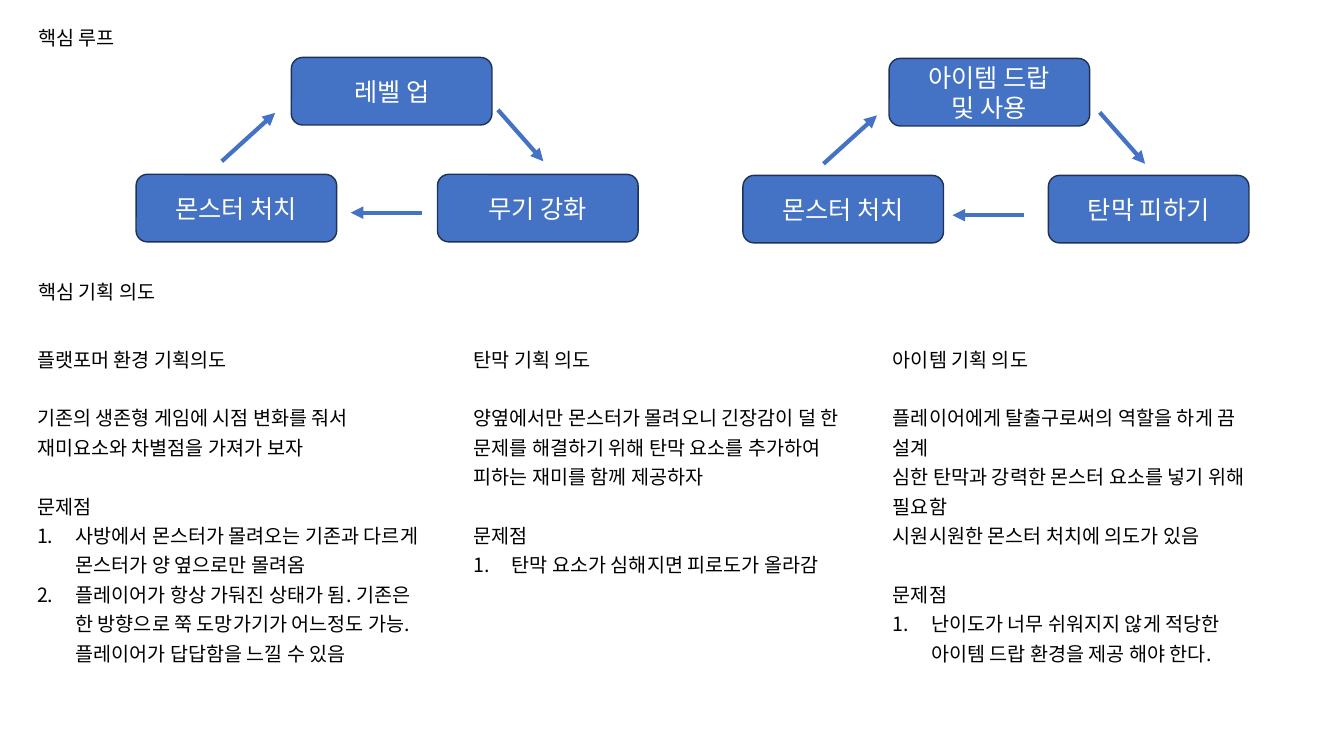
from pptx import Presentation
from pptx import util as u
from pptx.dml.color import RGBColor
from pptx.enum import shapes, text
from pptx.oxml import parse_xml
from pptx.oxml.ns import nsdecls, qn

THEME = {
    "font": "Noto Sans CJK KR",
    "ink": RGBColor.from_string("000000"),
    "paper": RGBColor.from_string("FFFFFF"),
    "blue": RGBColor.from_string("4472C4"),
    "edge": RGBColor.from_string("1E3256"),
    "body": u.Pt(14),
    "node": u.Pt(18),
}
CELL = u.Inches(0.1)  # the slide is a grid of 133.3 columns by 75 rows


def grid(*cells):
    """Turn counts of columns or rows into lengths."""
    return [round(n * CELL) for n in cells]


def style(par, size, color):
    for run in par.runs:
        run.font.name = THEME["font"]
        run.font.size = size
        run.font.color.rgb = color
        east = parse_xml(f'<a:ea {nsdecls("a")} typeface="{THEME["font"]}"/>')
        run.font._element.find(qn("a:latin")).addnext(east)


deck = Presentation()
deck.slide_width, deck.slide_height = grid(133.33, 75)
slide = deck.slides.add_slide(deck.slide_layouts[6])

# Headings
for title, top in (("핵심 루프", 2.1), ("핵심 기획 의도", 27.3)):
    box = slide.shapes.add_textbox(*grid(2.8, top, 42.6, 3.4))
    box.text_frame.word_wrap = True
    box.text_frame.text = title
    style(box.text_frame.paragraphs[0], THEME["body"], THEME["ink"])

# Core loops: row of the top node, then each node's label and column
NODE_W, NODE_H, DROP = 19.9, 6.7, 11.6
loops = [
    (5.7, ("레벨 업", 28.9), ("무기 강화", 43.4), ("몬스터 처치", 13.5)),
    (5.8, ("아이템 드랍\v및 사용", 88.2), ("탄막 피하기", 104), ("몬스터 처치", 73.7)),
]
for top, *nodes in loops:
    for i, (label, left) in enumerate(nodes):
        row = top + (DROP if i else 0)
        node = slide.shapes.add_shape(
            shapes.MSO_SHAPE.ROUNDED_RECTANGLE, *grid(left, row, NODE_W, NODE_H))
        node.shadow.inherit = False
        node.fill.solid()
        node.fill.fore_color.rgb = THEME["blue"]
        node.line.color.rgb = THEME["edge"]
        node.line.width = u.Pt(1)
        frame = node.text_frame
        frame.text = label
        frame.vertical_anchor = text.MSO_ANCHOR.MIDDLE
        frame.paragraphs[0].alignment = text.PP_ALIGN.CENTER
        style(frame.paragraphs[0], THEME["node"], THEME["paper"])

# Arrows: the second loop repeats the first, shifted
arrows = [(22, 16, 27.3, 11.2), (49.4, 10.9, 53.9, 16), (41.9, 21.1, 34.8, 21.1)]
for dx, dy in ((0, 0), (59.7, 0.25)):
    for x1, y1, x2, y2 in arrows:
        arrow = slide.shapes.add_connector(
            shapes.MSO_CONNECTOR.STRAIGHT,
            *grid(x1 + dx, y1 + dy, x2 + dx, y2 + dy))
        arrow.line.color.rgb = THEME["blue"]
        arrow.line.width = u.Pt(3)
        arrow.line._get_or_add_ln().append(
            parse_xml(f'<a:tailEnd {nsdecls("a")} type="triangle"/>'))
        arrow._element.spPr.append(parse_xml(f'<a:effectLst {nsdecls("a")}/>'))

# Design intents: column, width, title, aims, issues
ISSUE = "문제점"
intents = [
    (2.7, 41, "플랫포머 환경 기획의도",
     ["기존의 생존형 게임에 시점 변화를 줘서 재미요소와 차별점을 가져가 보자"],
     ["사방에서 몬스터가 몰려오는 기존과 다르게 몬스터가 양 옆으로만 몰려옴",
      "플레이어가 항상 가둬진 상태가 됨. 기존은 한 방향으로 쭉 도망가기가 "
      "어느정도 가능. 플레이어가 답답함을 느낄 수 있음"]),
    (46, 39.3, "탄막 기획 의도",
     ["양옆에서만 몬스터가 몰려오니 긴장감이 덜 한 문제를 해결하기 위해 "
      "탄막 요소를 추가하여 피하는 재미를 함께 제공하자"],
     ["탄막 요소가 심해지면 피로도가 올라감"]),
    (87.6, 39.3, "아이템 기획 의도",
     ["플레이어에게 탈출구로써의 역할을 하게 끔 설계",
      "심한 탄막과 강력한 몬스터 요소를 넣기 위해 필요함",
      "시원시원한 몬스터 처치에 의도가 있음"],
     ["난이도가 너무 쉬워지지 않게 적당한 아이템 드랍 환경을 제공 해야 한다."]),
]
for left, width, title, aims, issues in intents:
    box = slide.shapes.add_textbox(*grid(left, 33.4, width, 33.1))
    frame = box.text_frame
    frame.word_wrap = True
    frame.text = "\n".join([title, *aims, ISSUE, *issues])
    for i, par in enumerate(frame.paragraphs):
        par.line_spacing = 1.25
        if i in (1, len(aims) + 1):
            par.space_before = u.Pt(21)
        if i > len(aims) + 1:
            props = par._p.get_or_add_pPr()
            props.set("marL", str(u.Inches(0.38)))
            props.set("indent", str(-u.Inches(0.38)))
            props.append(parse_xml(
                f'<a:buAutoNum {nsdecls("a")} type="arabicPeriod"/>'))
        style(par, THEME["body"], THEME["ink"])

deck.save("out.pptx")
